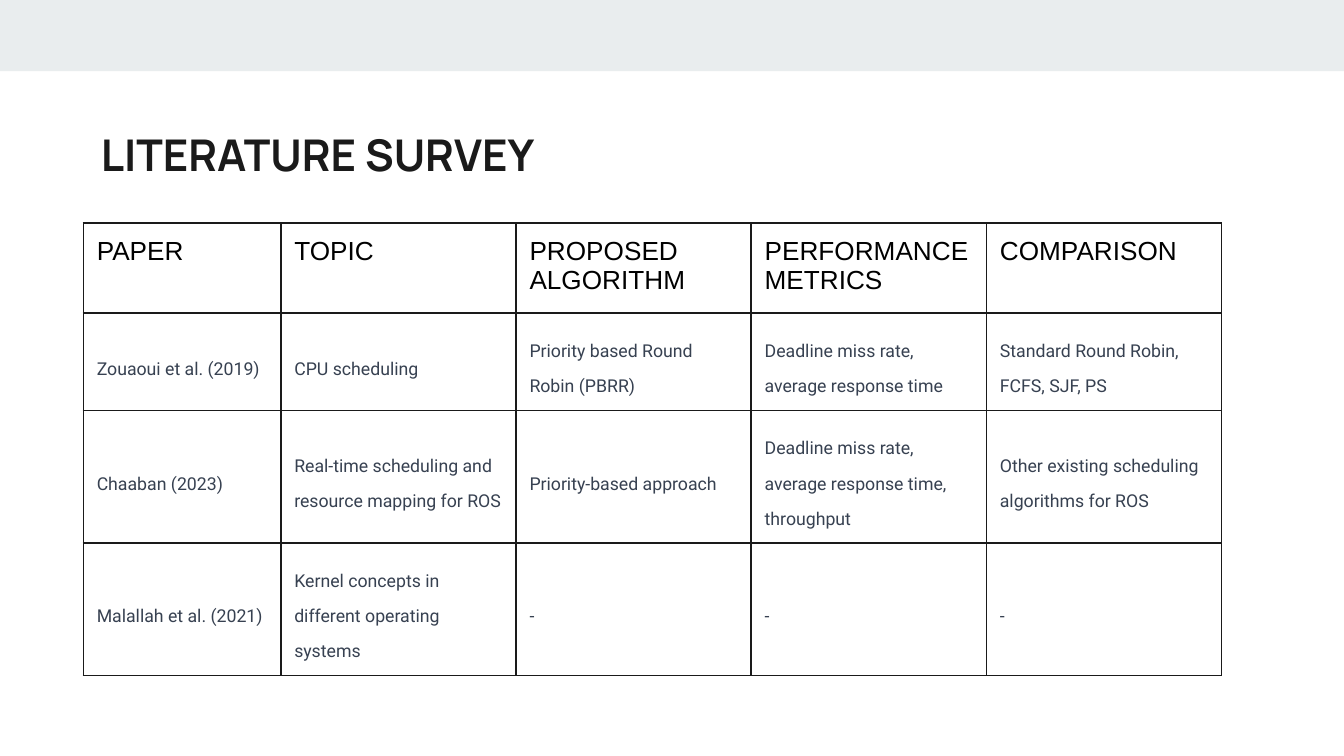
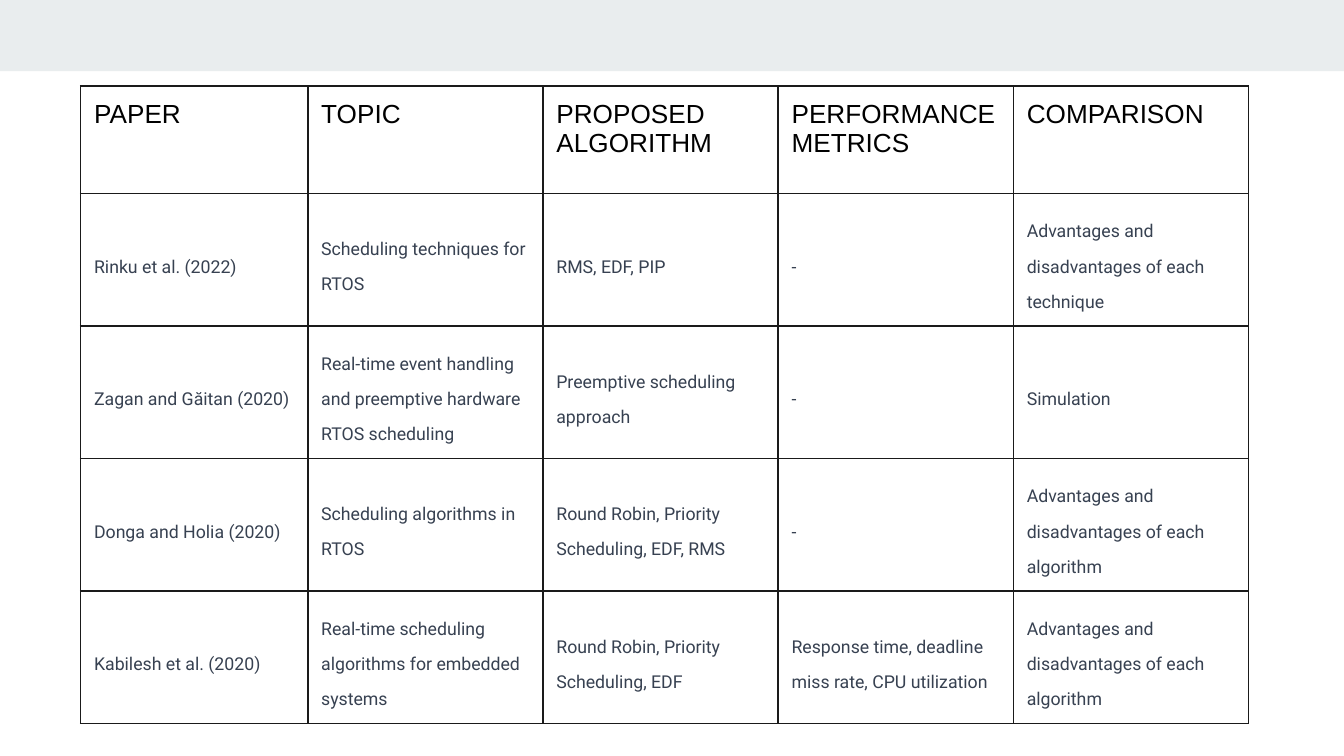
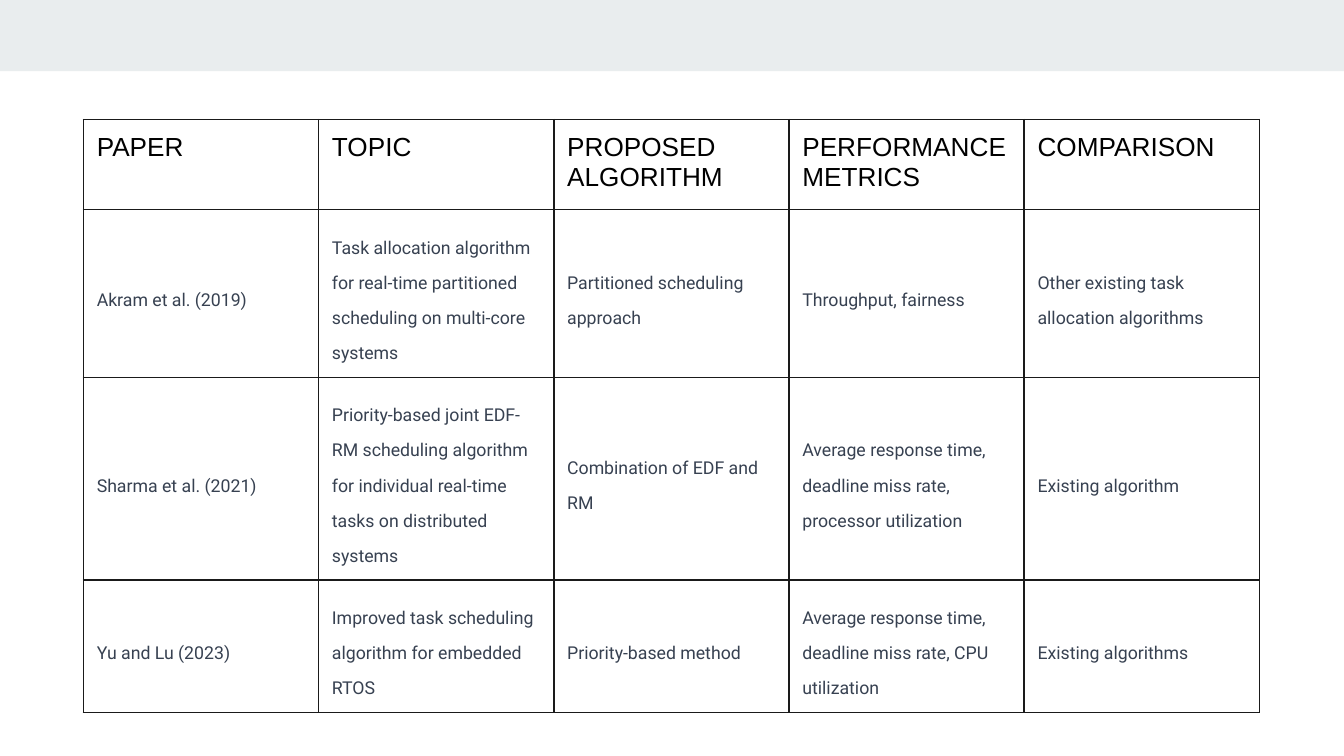
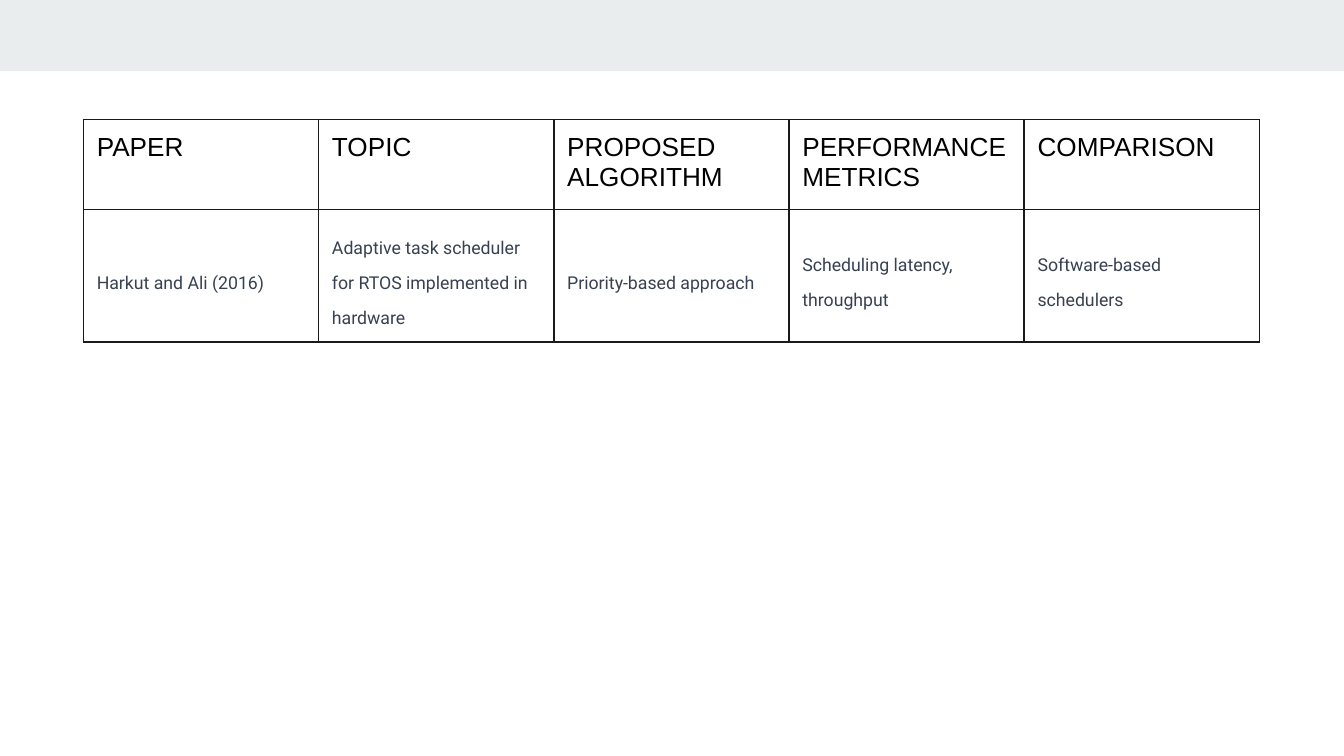
from lxml import etree
from pptx import Presentation
from pptx.dml.color import RGBColor
from pptx.enum.shapes import MSO_SHAPE
from pptx.enum.text import MSO_ANCHOR, MSO_AUTO_SIZE, PP_ALIGN
from pptx.oxml.ns import qn
from pptx.util import Inches, Pt

RECTANGLE = MSO_SHAPE.RECTANGLE
TOP, MIDDLE = MSO_ANCHOR.TOP, MSO_ANCHOR.MIDDLE
NO_FIT = MSO_AUTO_SIZE.NONE
LEFT = PP_ALIGN.LEFT

BAND, INK, BLACK, SLATE = "E9EDEE", "1A1A1A", "000000", "374151"
TITLE_ONLY, BLANK = 5, 6
SLIDE_WIDTH = 10
SLIDE_HEIGHT = SLIDE_WIDTH * 9 / 16
COLUMN_WIDTH = 1.75
INSET = 0.1
LINE_HEIGHT = 0.26

HEADINGS = ["PAPER", "TOPIC", "PROPOSED ALGORITHM", "PERFORMANCE METRICS", "COMPARISON"]

SURVEYS = [
    {
        "title": "LITERATURE SURVEY",
        "corner": (0.62, 1.66), "paper_width": 1.47, "heading_height": 0.67,
        "lines": [2, 3, 3],
        "papers": [
            ["Zouaoui et al. (2019)", "CPU scheduling", "Priority based Round Robin (PBRR)",
             "Deadline miss rate, average response time", "Standard Round Robin, FCFS, SJF, PS"],
            ["Chaaban (2023)", "Real-time scheduling and resource mapping for ROS",
             "Priority-based approach", "Deadline miss rate, average response time, throughput",
             "Other existing scheduling algorithms for ROS"],
            ["Malallah et al. (2021)", "Kernel concepts in different operating systems",
             "-", "-", "-"],
        ],
    },
    {
        "corner": (0.6, 0.64), "paper_width": 1.69, "heading_height": 0.8,
        "lines": [3, 3, 3, 3],
        "papers": [
            ["Rinku et al. (2022)", "Scheduling techniques for RTOS", "RMS, EDF, PIP", "-",
             "Advantages and disadvantages of each technique"],
            ["Zagan and Găitan (2020)",
             "Real-time event handling and preemptive hardware RTOS scheduling",
             "Preemptive scheduling approach", "-", "Simulation"],
            ["Donga and Holia (2020)", "Scheduling algorithms in RTOS",
             "Round Robin, Priority Scheduling, EDF, RMS", "-",
             "Advantages and disadvantages of each algorithm"],
            ["Kabilesh et al. (2020)", "Real-time scheduling algorithms for embedded systems",
             "Round Robin, Priority Scheduling, EDF",
             "Response time, deadline miss rate, CPU utilization",
             "Advantages and disadvantages of each algorithm"],
        ],
    },
    {
        "corner": (0.62, 0.89), "paper_width": COLUMN_WIDTH, "heading_height": 0.67,
        "lines": [4, 5, 3],
        "papers": [
            ["Akram et al. (2019)",
             "Task allocation algorithm for real-time partitioned scheduling on multi-core systems",
             "Partitioned scheduling approach", "Throughput, fairness",
             "Other existing task allocation algorithms"],
            ["Sharma et al. (2021)",
             "Priority-based joint EDF-RM scheduling algorithm for individual real-time tasks "
             "on distributed systems",
             "Combination of EDF and RM",
             "Average response time, deadline miss rate, processor utilization",
             "Existing algorithm"],
            ["Yu and Lu (2023)", "Improved task scheduling algorithm for embedded RTOS",
             "Priority-based method", "Average response time, deadline miss rate, CPU utilization",
             "Existing algorithms"],
        ],
    },
    {
        "corner": (0.62, 0.89), "paper_width": COLUMN_WIDTH, "heading_height": 0.67,
        "lines": [3],
        "papers": [
            ["Harkut and Ali (2016)", "Adaptive task scheduler for RTOS implemented in hardware",
             "Priority-based approach", "Scheduling latency, throughput",
             "Software-based schedulers"],
        ],
    },
]


def color(value):
    return RGBColor.from_string(value)


def format_text(para, font_name, size, text_color, bold=False):
    para.alignment = LEFT
    for span in para.runs:
        span.font.name = font_name
        span.font.size = Pt(size)
        span.font.bold = bold
        span.font.color.rgb = color(text_color)


def set_insets(box):
    box.margin_left = box.margin_right = Inches(INSET)
    box.margin_top = box.margin_bottom = Inches(INSET)


def add_master_band(deck, slide):
    band = slide.shapes.add_shape(RECTANGLE, 0, 0, deck.slide_width, Inches(0.53))
    band.shadow.inherit = False
    band.fill.solid()
    band.fill.fore_color.rgb = color(BAND)
    band.line.fill.background()
    deck.slide_master.shapes.element.insert(2, band.element)


def place_title(slide, text, left, top, width, height):
    title = slide.shapes.title
    title.left, title.top = Inches(left), Inches(top)
    title.width, title.height = Inches(width), Inches(height)
    frame = title.text_frame
    frame.text = text
    frame.auto_size = NO_FIT
    frame.word_wrap = True
    frame.vertical_anchor = TOP
    set_insets(frame)
    format_text(frame.paragraphs[0], "Manrope", 23.4, INK, True)


def outline_cell(cell):
    properties = cell._tc.get_or_add_tcPr()
    for side in ("a:lnL", "a:lnR", "a:lnT", "a:lnB"):
        border = etree.SubElement(properties, qn(side), w=str(Pt(1)))
        fill = etree.SubElement(border, qn("a:solidFill"))
        etree.SubElement(fill, qn("a:srgbClr"), val=INK)
    cell.fill.background()


def fill_cell(cell, text, is_heading):
    outline_cell(cell)
    set_insets(cell)
    cell.text_frame.text = text
    para = cell.text_frame.paragraphs[0]
    if is_heading:
        cell.vertical_anchor = TOP
        format_text(para, "Arial", 14, BLACK)
    else:
        cell.vertical_anchor = MIDDLE
        para.line_spacing = 1.71
        para.space_after = Pt(19)
        format_text(para, "Roboto", 9.5, SLATE)


def add_survey_table(slide, survey):
    left, top = survey["corner"]
    rows = [HEADINGS] + survey["papers"]
    widths = [survey["paper_width"]] + [COLUMN_WIDTH] * (len(HEADINGS) - 1)
    heights = [survey["heading_height"]]
    heights += [2 * INSET + LINE_HEIGHT * count for count in survey["lines"]]
    table = slide.shapes.add_table(
        len(rows), len(widths), Inches(left), Inches(top),
        Inches(sum(widths)), Inches(sum(heights))).table
    table.first_row = table.horz_banding = False
    for column, width in zip(table.columns, widths):
        column.width = Inches(width)
    for row_index, (row, height, texts) in enumerate(zip(table.rows, heights, rows)):
        row.height = Inches(height)
        for cell, text in zip(row.cells, texts):
            fill_cell(cell, text, row_index == 0)


def add_survey_slide(deck, survey):
    has_title = "title" in survey
    slide = deck.slides.add_slide(deck.slide_layouts[TITLE_ONLY if has_title else BLANK])
    if has_title:
        place_title(slide, survey["title"], 0.65, 0.85, 8.41, 0.59)
    add_survey_table(slide, survey)
    return slide


def main():
    deck = Presentation()
    deck.slide_width, deck.slide_height = Inches(SLIDE_WIDTH), Inches(SLIDE_HEIGHT)
    slides = [add_survey_slide(deck, survey) for survey in SURVEYS]
    add_master_band(deck, slides[0])
    deck.save("out.pptx")


if __name__ == "__main__":
    main()
